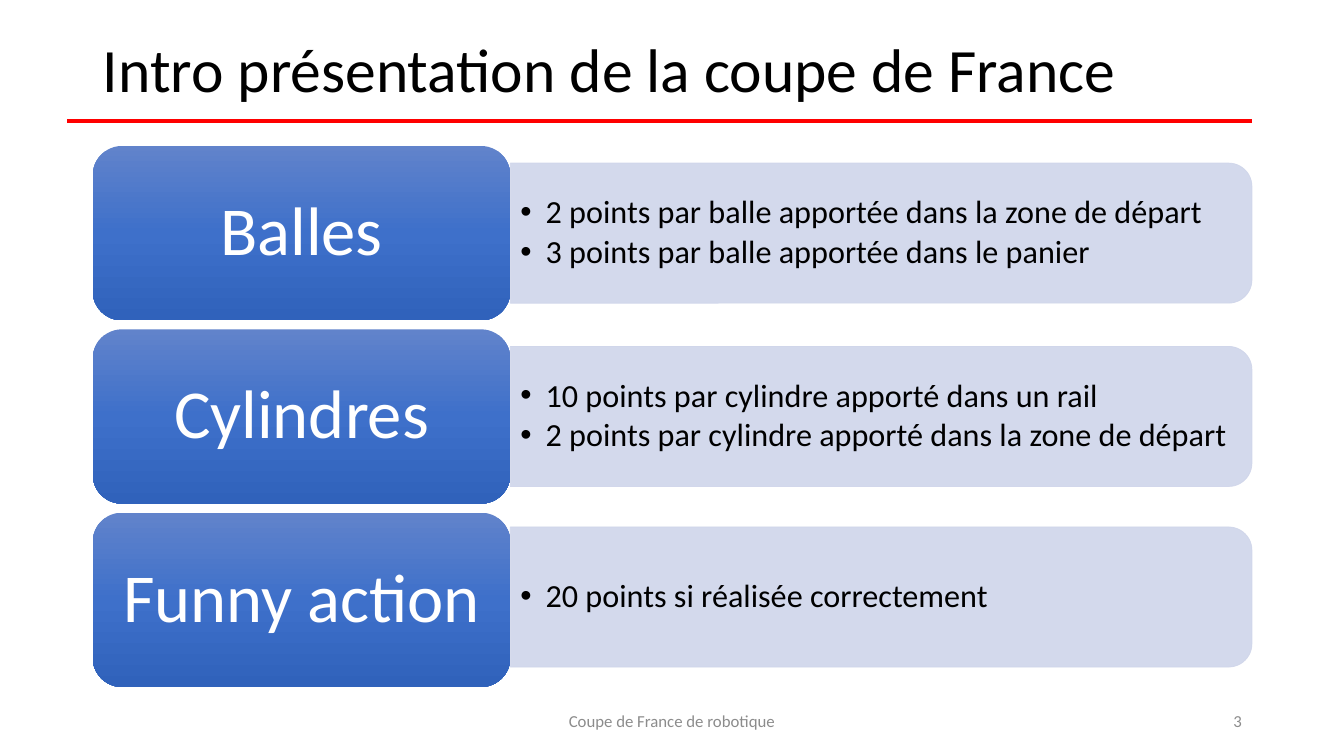
from copy import deepcopy
from dataclasses import dataclass

from lxml.etree import SubElement
from pptx import Presentation
from pptx.dml.color import RGBColor
from pptx.enum.shapes import MSO_CONNECTOR, MSO_SHAPE
from pptx.enum.text import MSO_ANCHOR, MSO_AUTO_SIZE, PP_ALIGN
from pptx.oxml.ns import qn
from pptx.shapes.base import BaseShape
from pptx.slide import Slide
from pptx.text.text import TextFrame, _Paragraph as Paragraph
from pptx.util import Cm, Pt

BLACK = RGBColor(0x00, 0x00, 0x00)
WHITE = RGBColor(0xFF, 0xFF, 0xFF)
RED = RGBColor(0xFF, 0x00, 0x00)
GREY = RGBColor(0x8C, 0x8C, 0x8C)
PANEL_BLUE = RGBColor(0xCF, 0xD5, 0xEA)
CARD_BLUES = (RGBColor(0x61, 0x83, 0xCB), RGBColor(0x3E, 0x70, 0xCA),
              RGBColor(0x30, 0x62, 0xBB))

FONT = "Calibri"
COMPARISON_LAYOUT = 4
CARD_LEFT, CARD_TOP, CARD_WIDTH, CARD_HEIGHT = 2.34, 3.68, 10.52, 4.39
ROW_PITCH = 4.62
PANEL_LEFT = CARD_LEFT + CARD_WIDTH
PANEL_WIDTH, PANEL_HEIGHT = 18.69, 3.53
LIST_WIDTH, LIST_HEIGHT = 18.52, 3.18


@dataclass(frozen=True)
class Action:
    name: str
    rules: tuple[str, ...]
    list_index: int
    panel_shift: float = 0


@dataclass(frozen=True)
class FooterItem:
    text: str
    left: float
    width: float
    align: PP_ALIGN


ACTIONS = (
    Action("Balles", ("2 points par balle apportée dans la zone de départ",
                      "3 points par balle apportée dans le panier"), 1),
    Action("Cylindres", ("10 points par cylindre apporté dans un rail",
                         "2 points par cylindre apporté dans la zone de départ"), 2),
    Action("Funny action", ("20 points si réalisée correctement",), 4, -0.07),
)
FOOTER = (
    FooterItem("Coupe de France de robotique", 11.22, 11.43, PP_ALIGN.CENTER),
    FooterItem("3", 23.93, 7.62, PP_ALIGN.RIGHT),
)


def place(shape: BaseShape, left: float, top: float, width: float, height: float) -> None:
    shape.left, shape.top = Cm(left), Cm(top)
    shape.width, shape.height = Cm(width), Cm(height)


def prepare(frame: TextFrame) -> None:
    """Wrap the text, centre it vertically and keep its size fixed."""
    frame.word_wrap = True
    frame.auto_size = MSO_AUTO_SIZE.NONE
    frame.vertical_anchor = MSO_ANCHOR.MIDDLE


def write(para: Paragraph, text: str, size: float, color: RGBColor,
          align: PP_ALIGN = PP_ALIGN.LEFT, spacing: float = 0.9) -> None:
    para.alignment = align
    para.line_spacing = spacing
    para.space_before = Pt(0)
    span = para.add_run()
    span.text = text
    span.font.name, span.font.size = FONT, Pt(size)
    span.font.bold = False
    span.font.color.rgb = color


def add_bullet(para: Paragraph) -> None:
    props = para._p.get_or_add_pPr()
    props.set("marL", str(Cm(0.635)))
    props.set("indent", str(-Cm(0.635)))
    SubElement(props, qn("a:buFont")).set("typeface", "Arial")
    SubElement(props, qn("a:buChar")).set("char", "•")


def add_heading(page: Slide) -> None:
    title = page.shapes.title
    place(title, 2.34, 0, 29.21, 3.68)
    prepare(title.text_frame)
    write(title.text_frame.paragraphs[0], "Intro présentation de la coupe de France", 44, BLACK)
    rule = page.shapes.add_connector(MSO_CONNECTOR.STRAIGHT,
                                     Cm(1.7), Cm(3.05), Cm(31.55), Cm(3.05))
    rule.line.color.rgb = RED
    rule.line.width = Pt(3.25)
    SubElement(rule._element.spPr, qn("a:effectLst"))


def add_panel(page: Slide, middle: float) -> BaseShape:
    """Add a panel with round right corners: a top-rounded shape on its side."""
    center = PANEL_LEFT + PANEL_WIDTH / 2
    panel = page.shapes.add_shape(
        MSO_SHAPE.ROUND_2_SAME_RECTANGLE, Cm(center - PANEL_HEIGHT / 2),
        Cm(middle - PANEL_WIDTH / 2), Cm(PANEL_HEIGHT), Cm(PANEL_WIDTH))
    panel.rotation = 90
    panel.shadow.inherit = False
    panel.fill.solid()
    panel.fill.fore_color.rgb = PANEL_BLUE
    panel.line.color.rgb = PANEL_BLUE
    panel.line.width = Pt(0.5)
    for color in panel._element.spPr.iter(qn("a:srgbClr")):
        SubElement(color, qn("a:alpha")).set("val", "90000")
    return panel


def fill_list(page: Slide, action: Action, panel: BaseShape, middle: float) -> None:
    body = page.placeholders[action.list_index]
    panel._element.addnext(body._element)
    place(body, PANEL_LEFT, middle - LIST_HEIGHT / 2, LIST_WIDTH, LIST_HEIGHT)
    frame = body.text_frame
    prepare(frame)
    for number, rule in enumerate(action.rules):
        para = frame.add_paragraph() if number else frame.paragraphs[0]
        write(para, rule, 23, BLACK)
        para.space_after = Pt(3.5)
        add_bullet(para)


def add_card(page: Slide, name: str, top: float) -> None:
    card = page.shapes.add_shape(MSO_SHAPE.ROUNDED_RECTANGLE, Cm(CARD_LEFT), Cm(top),
                                 Cm(CARD_WIDTH), Cm(CARD_HEIGHT))
    card.shadow.inherit = False
    card.line.fill.background()
    card.fill.gradient()
    card.fill.gradient_angle = 270
    stop_list = card._element.spPr.find(".//" + qn("a:gsLst"))
    stop_list.append(deepcopy(stop_list[0]))
    for number, (stop, color) in enumerate(zip(card.fill.gradient_stops, CARD_BLUES)):
        stop.position = number / 2
        stop.color.rgb = color
    prepare(card.text_frame)
    para = card.text_frame.paragraphs[0]
    write(para, name, 49, WHITE, PP_ALIGN.CENTER)
    para.space_after = Pt(17)


def add_footer_item(page: Slide, item: FooterItem) -> None:
    box = page.shapes.add_textbox(Cm(item.left), Cm(17.65), Cm(item.width), Cm(1.02))
    prepare(box.text_frame)
    write(box.text_frame.paragraphs[0], item.text, 12, GREY, item.align, 1.0)


def main() -> None:
    deck = Presentation()
    deck.slide_width, deck.slide_height = Cm(33.87), Cm(19.05)
    page = deck.slides.add_slide(deck.slide_layouts[COMPARISON_LAYOUT])
    add_heading(page)
    for row, action in enumerate(ACTIONS):
        top = CARD_TOP + row * ROW_PITCH
        middle = top + CARD_HEIGHT / 2 + action.panel_shift
        panel = add_panel(page, middle)
        fill_list(page, action, panel, middle)
        add_card(page, action.name, top)
    for item in FOOTER:
        add_footer_item(page, item)
    for holder in list(page.placeholders):
        if not holder.text_frame.text:
            holder._element.getparent().remove(holder._element)
    deck.save("out.pptx")


if __name__ == "__main__":
    main()
